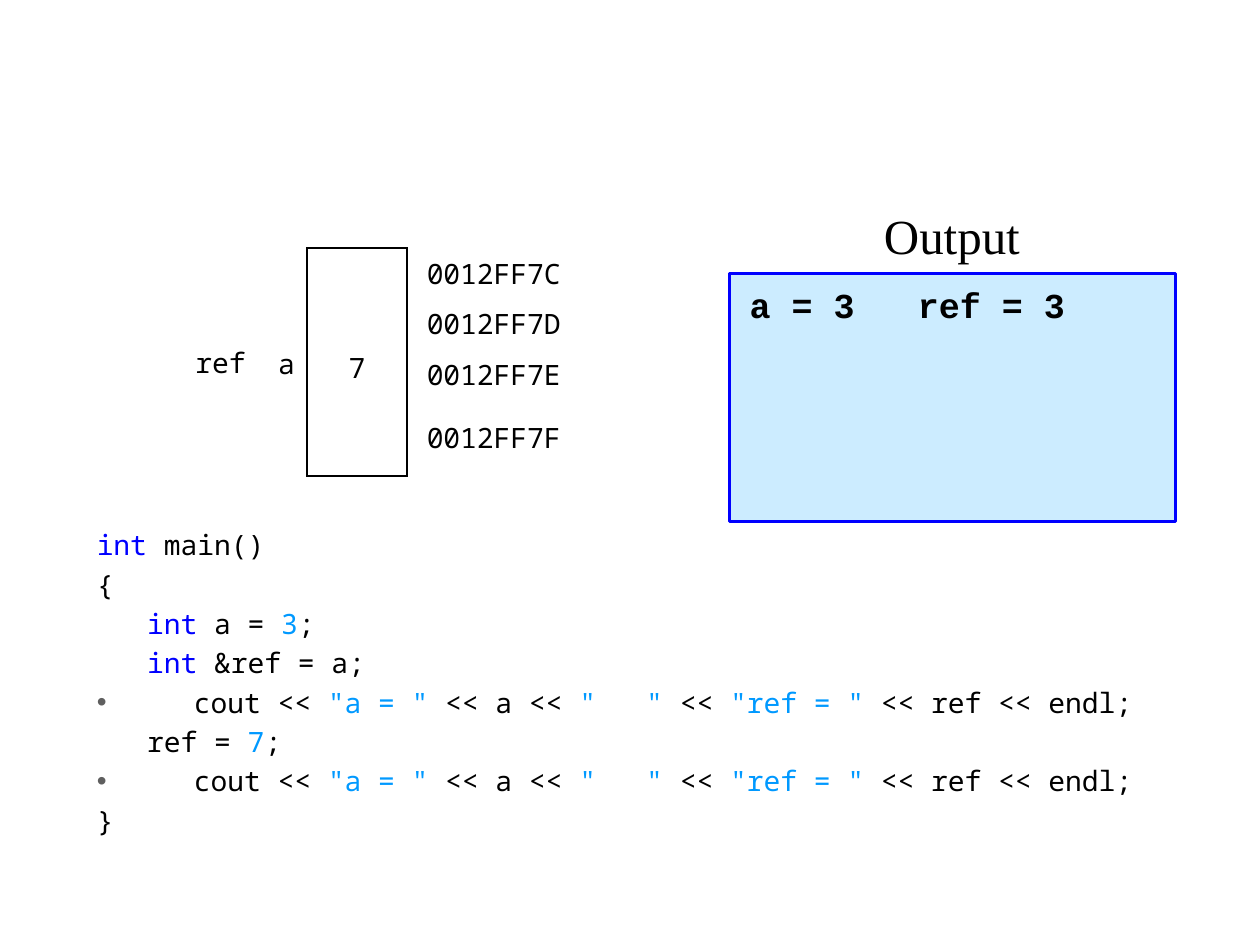
from dataclasses import dataclass
from pptx import Presentation
from pptx.dml.color import RGBColor
from pptx.enum.shapes import MSO_SHAPE as Shape
from pptx.enum.text import MSO_ANCHOR as Anchor, PP_ALIGN as Align
from pptx.oxml.ns import qn
from pptx.util import Inches, Pt
from lxml.etree import SubElement

MONO = "Noto Sans Mono"
BLACK, BLUE, SKY, GRAY = "000000", "0000FF", "0099FF", "5F5F5F"


@dataclass
class Line:
    runs: list[tuple[str, str]]
    left: float = 0
    bullet: bool = False


@dataclass
class Label:
    text: str
    align: Align
    bottom: float


def color(code: str) -> RGBColor:
    return RGBColor.from_string(code)


def write(para, text: str, *, font: str = MONO, size: float = 16,
          code: str = BLACK, bold: bool = False, align=Align.LEFT,
          before: float = 0, spacing: float = 1) -> None:
    """Append a run to a paragraph and format both."""
    para.alignment = align
    para.space_before = Pt(before)
    para.line_spacing = spacing
    run = para.add_run()
    run.text = text
    run.font.name = font
    run.font.size = Pt(size)
    run.font.bold = bold
    run.font.color.rgb = color(code)


def indent(para, left: float, bullet: bool) -> None:
    """Set the left margin, with a hanging bullet if asked."""
    props = para._p.get_or_add_pPr()
    props.set("marL", str(Inches(left)))
    props.set("indent", str(-Inches(left) if bullet else 0))
    if bullet:
        tint = SubElement(props, qn("a:buClr"))
        SubElement(tint, qn("a:srgbClr"), val=GRAY)
        SubElement(props, qn("a:buFont"), typeface="Arial")
        SubElement(props, qn("a:buChar"), char="•")
    else:
        SubElement(props, qn("a:buNone"))


def add_box(slide, left: float, top: float, width: float, height: float):
    box = slide.shapes.add_textbox(
        Inches(left), Inches(top), Inches(width), Inches(height))
    box.text_frame.word_wrap = True
    return box.text_frame


def add_code(slide, lines: list[Line]) -> None:
    frame = add_box(slide, 0.67, 4.14, 8.66, 2.95)
    for i, line in enumerate(lines):
        para = frame.paragraphs[0] if i == 0 else frame.add_paragraph()
        for text, code in line.runs:
            write(para, text, code=code, before=3.3 if i else 0.6)
        indent(para, line.left, line.bullet)


def edge(cell, sides: str) -> None:
    """Draw the named sides (of LRTB) in black and hide the others."""
    props = cell._tc.get_or_add_tcPr()
    for side in "LRTB":
        line = SubElement(props, qn(f"a:ln{side}"), w=str(Pt(1.5)))
        if side in sides:
            fill = SubElement(line, qn("a:solidFill"))
            SubElement(fill, qn("a:srgbClr"), val=BLACK)
        else:
            SubElement(line, qn("a:noFill"))


def fill_cell(cell, text: str, side: float, bottom: float, **style) -> None:
    cell.vertical_anchor = Anchor.MIDDLE
    cell.margin_left = cell.margin_right = Inches(side)
    cell.margin_top, cell.margin_bottom = Inches(0.04), Inches(bottom)
    write(cell.text_frame.paragraphs[0], text, **style)


def add_memory(slide, labels: list[Label], cells: list[str]) -> None:
    widths, heights = [0.79, 0.39, 0.79, 1.38], [0.4, 0.4, 0.4, 0.61]
    table = slide.shapes.add_table(
        len(heights), len(widths), Inches(1.26), Inches(1.97),
        Inches(sum(widths)), Inches(sum(heights))).table
    table.first_row = table.horz_banding = False
    for col, width in zip(table.columns, widths):
        col.width = Inches(width)
    for row, height in zip(table.rows, heights):
        row.height = Inches(height)
    last = len(heights) - 1
    for r in range(len(heights)):
        for c, sides in enumerate(["", "R", "LRTB", "L"]):
            cell = table.cell(r, c)
            edge(cell, sides)
            cell.fill.background()
    for c, label in enumerate(labels):
        table.cell(0, c).merge(table.cell(last, c))
        fill_cell(table.cell(0, c), label.text, 0.1, label.bottom,
                  align=label.align, spacing=1.4)
    for r, text in enumerate(cells):
        fill_cell(table.cell(r, 3), text, 0.08, 0.04, align=Align.CENTER)


def add_output(slide, title: str, text: str) -> None:
    panel = slide.shapes.add_shape(
        Shape.RECTANGLE, Inches(5.79), Inches(2.17), Inches(3.54), Inches(1.97))
    panel.shadow.inherit = False
    panel.fill.solid()
    panel.fill.fore_color.rgb = color("CCECFF")
    panel.line.color.rgb = color(BLUE)
    panel.line.width = Pt(1.5)
    frame = panel.text_frame
    frame.word_wrap = True
    frame.vertical_anchor = Anchor.TOP
    frame.margin_left = frame.margin_right = Inches(0.16)
    frame.margin_top = frame.margin_bottom = Inches(0.08)
    write(frame.paragraphs[0], text, font="Courier New", size=20, bold=True,
          before=5)
    head = add_box(slide, 6.77, 1.58, 1.57, 0.59)
    write(head.paragraphs[0], title, font="Times New Roman", size=28,
          align=Align.CENTER, before=4)


def main() -> None:
    deck = Presentation()
    deck.slide_width, deck.slide_height = Inches(10), Inches(7.5)
    slide = deck.slides.add_slide(deck.slide_layouts[6])
    step = 0.4
    show = Line([("cout << ", BLACK), ('"a = "', SKY), (" << a << ", BLACK),
                 ('"   " ', SKY), ("<< ", BLACK), ('"ref = "', SKY),
                 (" << ref << endl;", BLACK)], 0.77, True)
    add_code(slide, [
        Line([("int ", BLUE), ("main()", BLACK)]),
        Line([("{", BLACK)]),
        Line([("int ", BLUE), ("a = ", BLACK), ("3", SKY), (";", BLACK)], step),
        Line([("int ", BLUE), ("&ref = a;", BLACK)], step),
        show,
        Line([("ref = ", BLACK), ("7", SKY), (";", BLACK)], step),
        show,
        Line([("}", BLACK)]),
    ])
    add_memory(slide, [
        Label("ref", Align.RIGHT, 0.16),
        Label("a", Align.RIGHT, 0.14),
        Label("7", Align.CENTER, 0.08),
    ], [f"0012FF7{digit}" for digit in "CDEF"])
    add_output(slide, "Output", "a = 3   ref = 3")
    deck.save("out.pptx")


if __name__ == "__main__":
    main()
